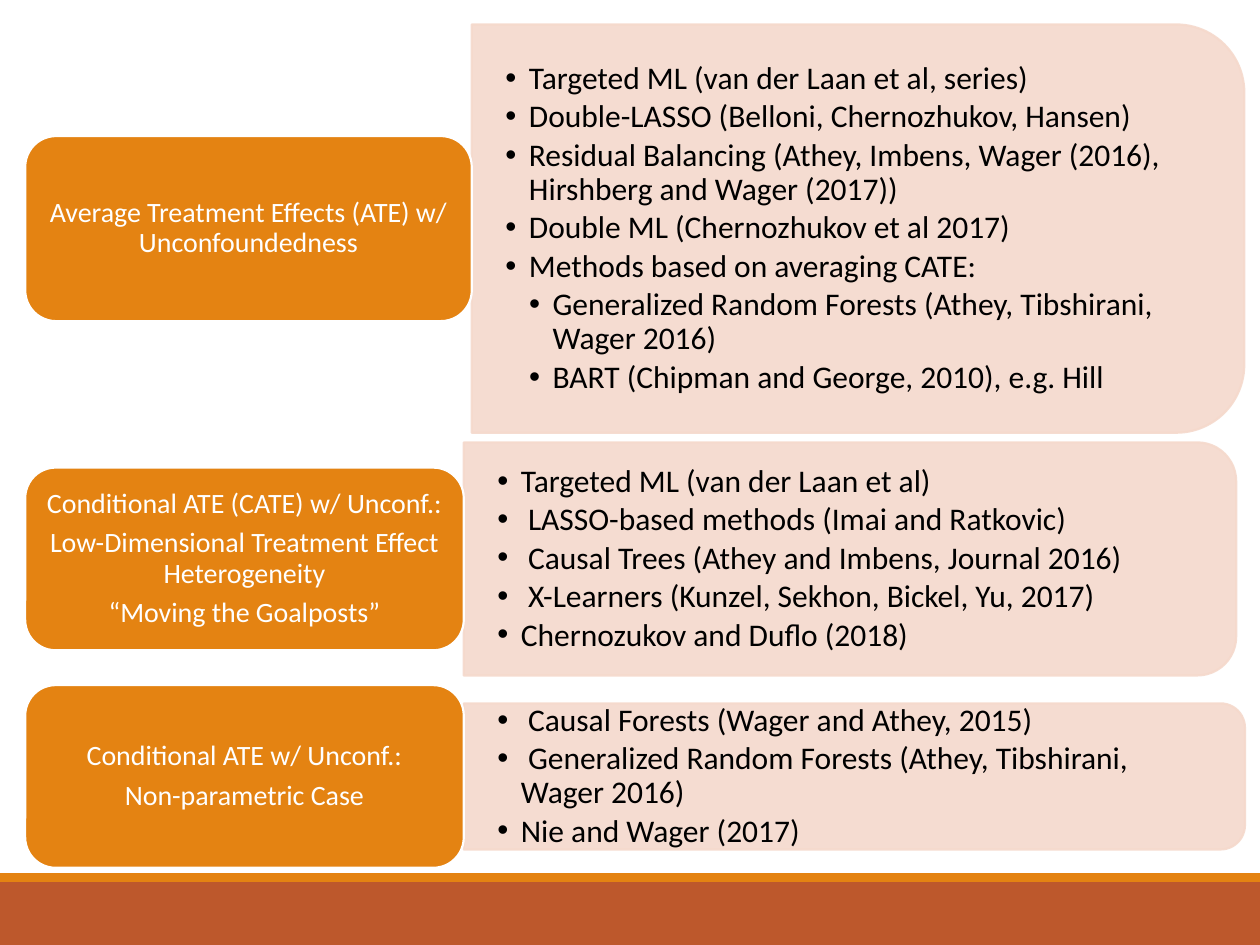
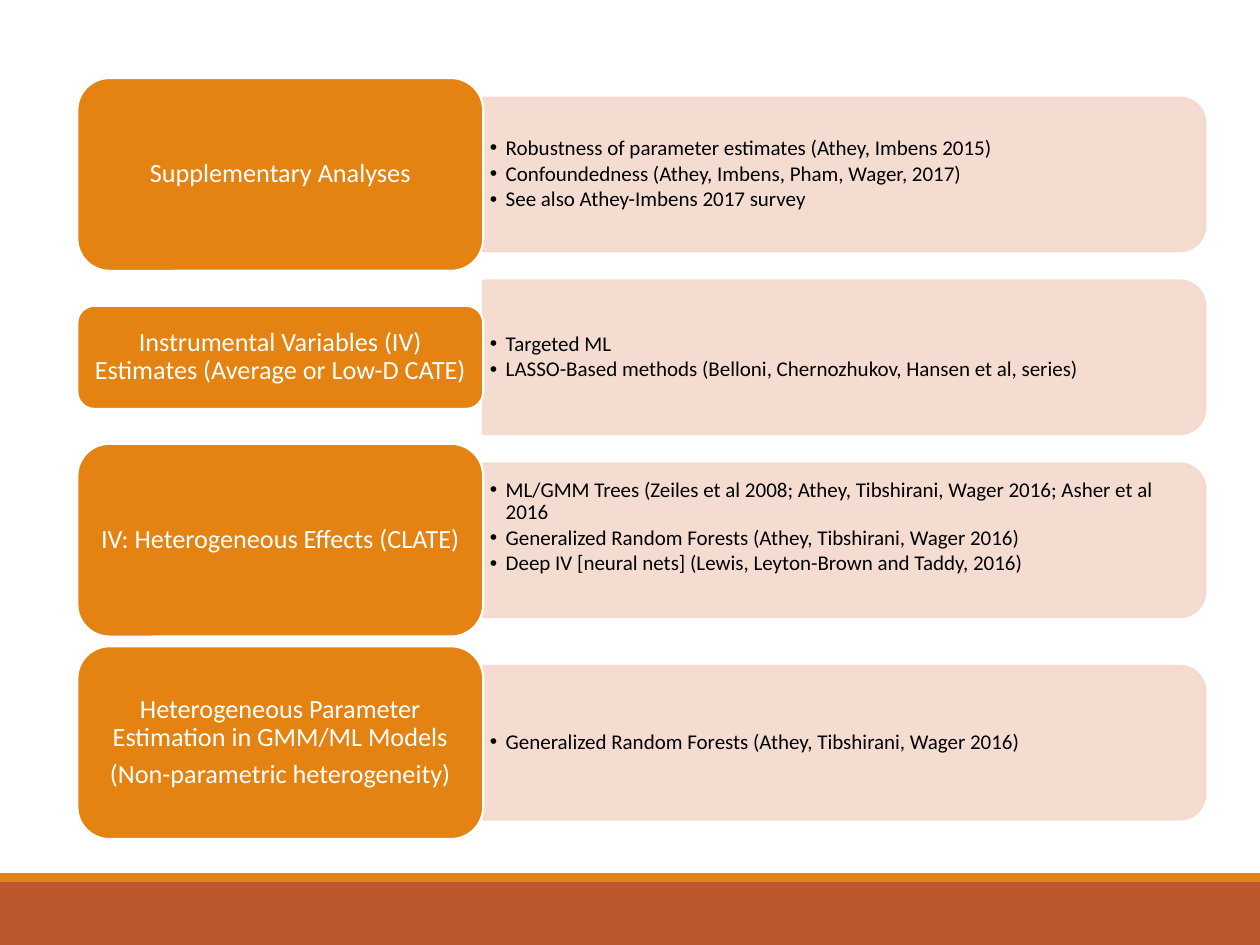
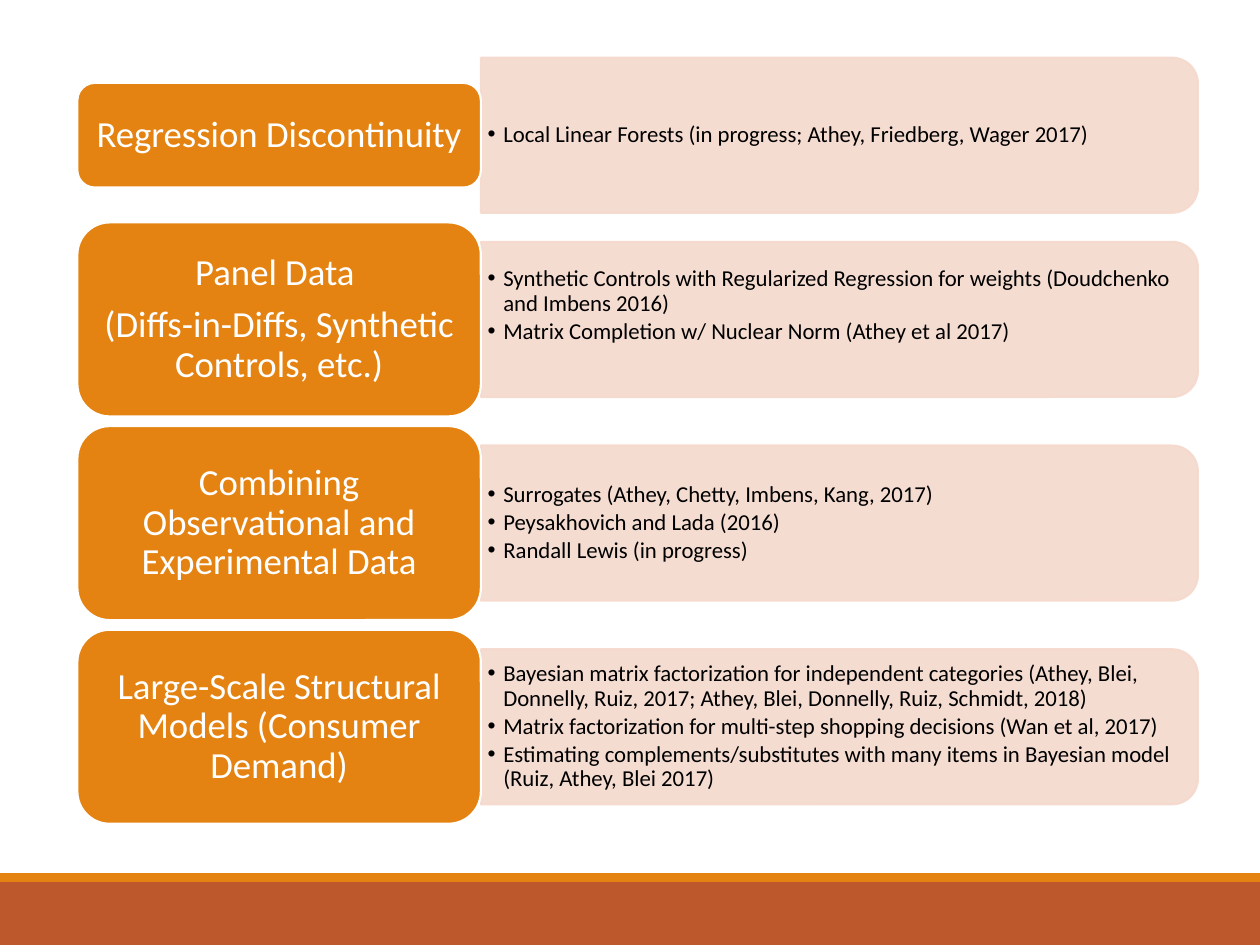
from dataclasses import dataclass

from lxml import etree
from pptx import Presentation
from pptx.dml.color import RGBColor
from pptx.enum import shapes, text
from pptx.oxml import ns
from pptx.util import Pt

FONT = "Calibri"
ORANGE = RGBColor(0xE4, 0x83, 0x12)
RUST = RGBColor(0xBD, 0x58, 0x2C)
PINK = RGBColor(0xF5, 0xD9, 0xCC)
WHITE = RGBColor(0xFF, 0xFF, 0xFF)
BLACK = RGBColor(0, 0, 0)

PAGE_WIDTH, PAGE_HEIGHT = 720, 540
BAND_TOP, STRIPE_TOP = 504, 499
ROW_GAP = 5.5
OUTLINE = 1.25
CORNER_INSET = 0.0488  # text inset of a rounded corner, per unit of height


@dataclass(frozen=True)
class Box:
    left: float
    top: float
    width: float
    height: float


@dataclass(frozen=True)
class Style:
    """Measures shared by the rows of one slide."""
    left: float
    top: float
    label_size: float
    panel_size: float
    panel_inset: float
    indent: float


@dataclass(frozen=True)
class Row:
    label: list[str]
    items: list[str]
    label_width: float
    label_height: float
    panel_width: float
    panel_height: float
    nested: int = 0  # how many of the last items are second level
    lift: float = 0  # extra space kept free below the items


def add_filled(page, kind, box: Box, fill: RGBColor, line: RGBColor | None = None):
    shape = page.shapes.add_shape(
        kind, Pt(box.left), Pt(box.top), Pt(box.width), Pt(box.height))
    shape.shadow.inherit = False
    shape.fill.solid()
    shape.fill.fore_color.rgb = fill
    if line is None:
        shape.line.fill.background()
    else:
        shape.line.color.rgb = line
        shape.line.width = Pt(OUTLINE)
    return shape


def set_frame(frame, side: float, top: float, bottom: float) -> None:
    frame.word_wrap = True
    frame.vertical_anchor = text.MSO_ANCHOR.MIDDLE
    frame.margin_left = frame.margin_right = Pt(side)
    frame.margin_top, frame.margin_bottom = Pt(top), Pt(bottom)


def add_paragraph(frame, index: int, words: str, size: float,
                  color: RGBColor, space: float):
    para = frame.paragraphs[0] if index == 0 else frame.add_paragraph()
    para.line_spacing = 0.9
    para.space_after = Pt(round(space * size, 2))
    span = para.add_run()
    span.text = words
    span.font.name = FONT
    span.font.size = Pt(size)
    span.font.color.rgb = color
    return para


def add_bullet(para, level: int, indent: float) -> None:
    para.level = level
    properties = para._p.get_or_add_pPr()
    properties.set("marL", str(Pt(level * indent)))
    properties.set("indent", str(Pt(-indent)))
    etree.SubElement(properties, ns.qn("a:buFont")).set("typeface", "Arial")
    etree.SubElement(properties, ns.qn("a:buChar")).set("char", "•")


def add_panel(page, box: Box) -> None:
    # Turned a quarter, so that the round corners face right
    turned = Box(box.left + (box.width - box.height) / 2,
                 box.top + (box.height - box.width) / 2,
                 box.height, box.width)
    panel = add_filled(page, shapes.MSO_SHAPE.ROUND_2_SAME_RECTANGLE,
                       turned, PINK, PINK)
    panel.rotation = 90
    for color in panel.element.spPr.iter(ns.qn("a:srgbClr")):
        etree.SubElement(color, ns.qn("a:alpha")).set("val", "90000")


def add_items(page, panel: Box, row: Row, style: Style) -> None:
    inset = CORNER_INSET * panel.height
    box = page.shapes.add_textbox(
        Pt(panel.left), Pt(panel.top + inset),
        Pt(panel.width - inset), Pt(panel.height - 2 * inset))
    half = style.panel_inset / 2
    set_frame(box.text_frame, style.panel_inset, half, half + row.lift)
    first_nested = len(row.items) - row.nested
    for index, item in enumerate(row.items):
        para = add_paragraph(box.text_frame, index, item,
                             style.panel_size, BLACK, 0.14)
        add_bullet(para, 2 if index >= first_nested else 1, style.indent)


def add_label(page, box: Box, row: Row, style: Style) -> None:
    label = add_filled(page, shapes.MSO_SHAPE.ROUNDED_RECTANGLE, box, ORANGE, WHITE)
    half = 0.15 * style.label_size
    set_frame(label.text_frame, 2 * half, half, half)
    for index, words in enumerate(row.label):
        para = add_paragraph(label.text_frame, index, words,
                             style.label_size, WHITE, 0.33)
        para.alignment = text.PP_ALIGN.CENTER


def add_rows(page, style: Style, rows: list[Row]) -> None:
    top = style.top
    for row in rows:
        height = max(row.label_height, row.panel_height)
        middle = top + height / 2
        panel = Box(style.left + row.label_width, middle - row.panel_height / 2,
                    row.panel_width, row.panel_height)
        label = Box(style.left, middle - row.label_height / 2,
                    row.label_width, row.label_height)
        add_panel(page, panel)
        add_items(page, panel, row, style)
        add_label(page, label, row, style)
        top += height + ROW_GAP


def add_master_bands(deck, page) -> None:
    for top, bottom, color in ((BAND_TOP, PAGE_HEIGHT, RUST),
                               (STRIPE_TOP, BAND_TOP, ORANGE)):
        band = add_filled(page, shapes.MSO_SHAPE.RECTANGLE,
                          Box(0, top, PAGE_WIDTH, bottom - top), color)
        deck.slide_master.shapes.element.append(band.element)


# Slide 1: average and conditional effects
EFFECTS_STYLE = Style(14.4, 14, 16, 18, 19.2, 13.5)
EFFECTS = [
    Row(["Average Treatment Effects (ATE) w/ Unconfoundedness"],
        ["Targeted ML (van der Laan et al, series)",
         "Double-LASSO (Belloni, Chernozhukov, Hansen)",
         "Residual Balancing (Athey, Imbens, Wager (2016), Hirshberg and Wager (2017))",
         "Double ML (Chernozhukov et al 2017)",
         "Methods based on averaging CATE:",
         "Generalized Random Forests (Athey, Tibshirani, Wager 2016)",
         "BART (Chipman and George, 2010), e.g. Hill"],
        255.2, 105.8, 441.4, 233.3, nested=2),
    Row(["Conditional ATE (CATE) w/ Unconf.:",
         "Low-Dimensional Treatment Effect Heterogeneity",
         "“Moving the Goalposts”"],
        ["Targeted ML (van der Laan et al)",
         " LASSO-based methods (Imai and Ratkovic)",
         " Causal Trees (Athey and Imbens, Journal 2016)",
         " X-Learners (Kunzel, Sekhon, Bickel, Yu, 2017)",
         "Chernozukov and Duflo (2018)"],
        250.6, 104.4, 441.4, 133.2),
    Row(["Conditional ATE w/ Unconf.:", "Non-parametric Case"],
        [" Causal Forests (Wager and Athey, 2015)",
         " Generalized Random Forests (Athey, Tibshirani, Wager 2016)",
         "Nie and Wager (2017)"],
        250.6, 104.4, 446.4, 83.5),
]

# Slide 2: supplementary analyses and instrumental variables
INSTRUMENTS_STYLE = Style(44.2, 44.6, 15, 12, 3.8, 9)
TALL, SHORT = (232, 110.2, 412.6, 87.8), (232, 59, 412.6, 87.8)
INSTRUMENTS = [
    Row(["Supplementary Analyses"],
        ["Robustness of parameter estimates (Athey, Imbens 2015)",
         "Confoundedness (Athey, Imbens, Pham, Wager, 2017)",
         "See also Athey-Imbens 2017 survey"], *TALL),
    Row(["Instrumental Variables (IV) Estimates (Average or Low-D CATE)"],
        ["Targeted ML",
         "LASSO-Based methods (Belloni, Chernozhukov, Hansen et al, series)"], *SHORT),
    Row(["IV: Heterogeneous Effects (CLATE)"],
        ["ML/GMM Trees (Zeiles et al 2008; Athey, Tibshirani, Wager 2016; "
         "Asher et al 2016",
         "Generalized Random Forests (Athey, Tibshirani, Wager 2016)",
         "Deep IV [neural nets] (Lewis, Leyton-Brown and Taddy, 2016)"],
        *TALL, lift=15),
    Row(["Heterogeneous Parameter Estimation in GMM/ML Models",
         "(Non-parametric heterogeneity)"],
        ["Generalized Random Forests (Athey, Tibshirani, Wager 2016)"], *TALL),
]

# Slide 3: further designs and structural models
DESIGNS_STYLE = Style(44.2, 33, 21, 13, 3.8, 9)
HIGH, LOW = (230.6, 110.9, 409.7, 88.6), (230.6, 59.8, 409.7, 88.6)
DESIGNS = [
    Row(["Regression Discontinuity"],
        ["Local Linear Forests (in progress; Athey, Friedberg, Wager 2017)"], *LOW),
    Row(["Panel Data ", "(Diffs-in-Diffs, Synthetic Controls, etc.)"],
        ["Synthetic Controls with Regularized Regression for weights "
         "(Doudchenko and Imbens 2016)",
         "Matrix Completion w/ Nuclear Norm (Athey et al 2017)"],
        *HIGH, lift=16),
    Row(["Combining Observational and Experimental Data"],
        ["Surrogates (Athey, Chetty, Imbens, Kang, 2017)",
         "Peysakhovich and Lada (2016)",
         "Randall Lewis (in progress)"], *HIGH),
    Row(["Large-Scale Structural Models (Consumer Demand)"],
        ["Bayesian matrix factorization for independent categories (Athey, Blei, "
         "Donnelly, Ruiz, 2017; Athey, Blei, Donnelly, Ruiz, Schmidt, 2018)",
         "Matrix factorization for multi-step shopping decisions (Wan et al, 2017)",
         "Estimating complements/substitutes with many items in Bayesian model "
         "(Ruiz, Athey, Blei 2017)"], *HIGH),
]


def main() -> None:
    deck = Presentation()
    deck.slide_width, deck.slide_height = Pt(PAGE_WIDTH), Pt(PAGE_HEIGHT)
    blank = deck.slide_layouts[6]
    pages = [deck.slides.add_slide(blank) for _ in range(3)]
    add_master_bands(deck, pages[0])
    add_rows(pages[0], EFFECTS_STYLE, EFFECTS)
    add_rows(pages[1], INSTRUMENTS_STYLE, INSTRUMENTS)
    add_rows(pages[2], DESIGNS_STYLE, DESIGNS)
    deck.save("out.pptx")


if __name__ == "__main__":
    main()
